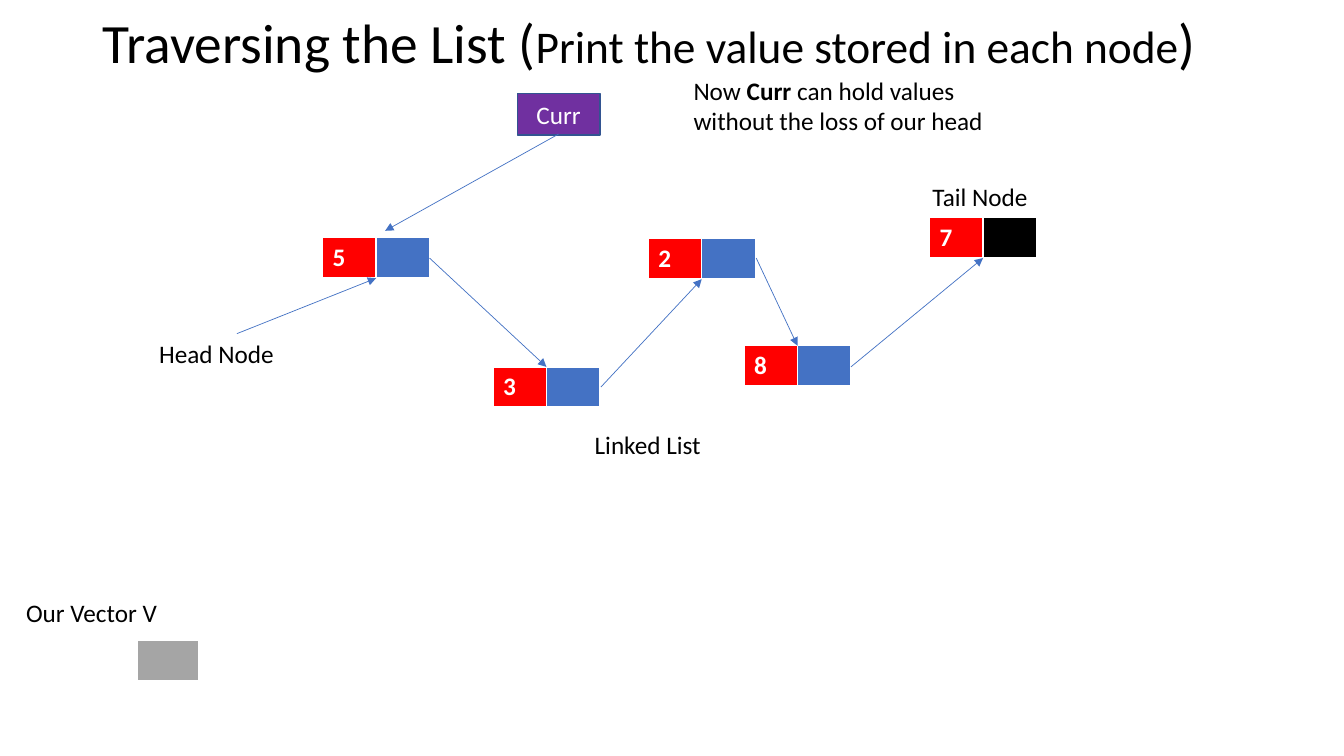
from lxml import etree
from pptx import Presentation
from pptx.dml.color import RGBColor
from pptx.enum.shapes import MSO_CONNECTOR, MSO_SHAPE
from pptx.enum.text import MSO_ANCHOR, PP_ALIGN
from pptx.oxml import parse_xml
from pptx.oxml.ns import qn
from pptx.util import Inches, Pt

STRAIGHT = MSO_CONNECTOR.STRAIGHT
RECTANGLE = MSO_SHAPE.RECTANGLE
MIDDLE, TOP = MSO_ANCHOR.MIDDLE, MSO_ANCHOR.TOP
CENTER, LEFT = PP_ALIGN.CENTER, PP_ALIGN.LEFT

NAMESPACE = "http://schemas.openxmlformats.org/drawingml/2006/main"
FONT = "Calibri"
BLACK, WHITE, RED, BLUE = "000000", "FFFFFF", "FF0000", "4472C4"
PURPLE, DARK_BLUE, GRAY = "7030A0", "325491", "A5A5A5"
CELL_WIDTH, CELL_HEIGHT = 0.53, 0.41
BORDERS = {"lnL": 1, "lnR": 1, "lnT": 1, "lnB": 3}


def color(value):
    return RGBColor.from_string(value)


def write(frame, text, size=18, fill=BLACK, bold=False, align=LEFT,
          anchor=TOP, wrap=True, spacing=None):
    frame.word_wrap = wrap
    frame.vertical_anchor = anchor
    lines = text if isinstance(text, list) else [[(text, {})]]
    for index, line in enumerate(lines):
        paragraph = frame.add_paragraph() if index else frame.paragraphs[0]
        paragraph.alignment = align
        paragraph.line_spacing = spacing
        for words, change in line:
            run = paragraph.add_run()
            run.text = words
            run.font.name = FONT
            run.font.size = Pt(change.get("size", size))
            run.font.bold = change.get("bold", bold)
            run.font.color.rgb = color(fill)


presentation = Presentation()
presentation.slide_width = Inches(13.33)
presentation.slide_height = Inches(7.5)
slide = presentation.slides.add_slide(presentation.slide_layouts[6])

title = slide.shapes.add_textbox(Inches(0.92), Inches(0), Inches(11.5), Inches(0.9))
write(title.text_frame,
      [[("Traversing the List (", {}),
        ("Print the value stored in each node", {"size": 32.4}),
        (")", {})]],
      size=39.6, anchor=MIDDLE, spacing=0.9)

tables = [
    (3.2, 2.36, CELL_WIDTH, [("5", RED), ("", BLUE)]),
    (4.89, 3.64, CELL_WIDTH, [("3", RED), ("", BLUE)]),
    (6.43, 2.37, CELL_WIDTH, [("2", RED), ("", BLUE)]),
    (7.38, 3.43, CELL_WIDTH, [("8", RED), ("", BLUE)]),
    (9.22, 2.16, CELL_WIDTH, [("7", RED), ("", BLACK)]),
    (1.36, 6.35, 0.61, [("", GRAY)]),
]
for left, top, width, cells in tables:
    table = slide.shapes.add_table(
        1, len(cells), Inches(left), Inches(top),
        Inches(width * len(cells)), Inches(CELL_HEIGHT)).table
    table.horz_banding = False
    for column, (value, fill) in enumerate(cells):
        table.columns[column].width = Inches(width)
        cell = table.cell(0, column)
        properties = cell._tc.get_or_add_tcPr()
        for side, points in BORDERS.items():
            properties.append(parse_xml(
                f'<a:{side} xmlns:a="{NAMESPACE}" w="{Pt(points)}"><a:solidFill>'
                f'<a:srgbClr val="{WHITE}"/></a:solidFill></a:{side}>'))
        cell.fill.solid()
        cell.fill.fore_color.rgb = color(fill)
        if value:
            write(cell.text_frame, value, fill=WHITE, bold=True)

curr = slide.shapes.add_shape(
    RECTANGLE, Inches(5.13), Inches(0.93), Inches(0.82), Inches(0.41))
curr.shadow.inherit = False
curr.fill.solid()
curr.fill.fore_color.rgb = color(PURPLE)
curr.line.color.rgb = color(DARK_BLUE)
curr.line.width = Pt(1)
write(curr.text_frame, "Curr", fill=WHITE, align=CENTER, anchor=MIDDLE)

arrows = [
    (4.26, 2.56, 5.42, 3.64),
    (5.96, 3.84, 6.96, 2.77),
    (7.5, 2.56, 7.91, 3.43),
    (8.44, 3.64, 9.75, 2.56),
    (2.35, 3.31, 3.73, 2.76),
    (5.54, 1.33, 3.82, 2.29),
]
for ends in arrows:
    arrow = slide.shapes.add_connector(STRAIGHT, *[Inches(end) for end in ends])
    arrow.line.color.rgb = color(BLUE)
    arrow.line.width = Pt(0.5)
    etree.SubElement(arrow.line._get_or_add_ln(), qn("a:tailEnd"), type="triangle")
    etree.SubElement(arrow._element.spPr, qn("a:effectLst"))

labels = [
    (1.48, 3.31, 1.38, 0.4, True, "Head Node"),
    (9.15, 1.75, 1.38, 0.4, True, "Tail Node"),
    (5.8, 4.21, 1.27, 0.4, False, "Linked List"),
    (0.16, 5.88, 1.52, 0.4, False, "Our Vector V"),
    (6.78, 0.7, 3.11, 0.71, False,
     [[("Now ", {}), ("Curr ", {"bold": True}), ("can hold values", {})],
      [("without the loss of our head", {})]]),
]
for left, top, width, height, wrap, text in labels:
    label = slide.shapes.add_textbox(
        Inches(left), Inches(top), Inches(width), Inches(height))
    write(label.text_frame, text, wrap=wrap)

presentation.save("out.pptx")
